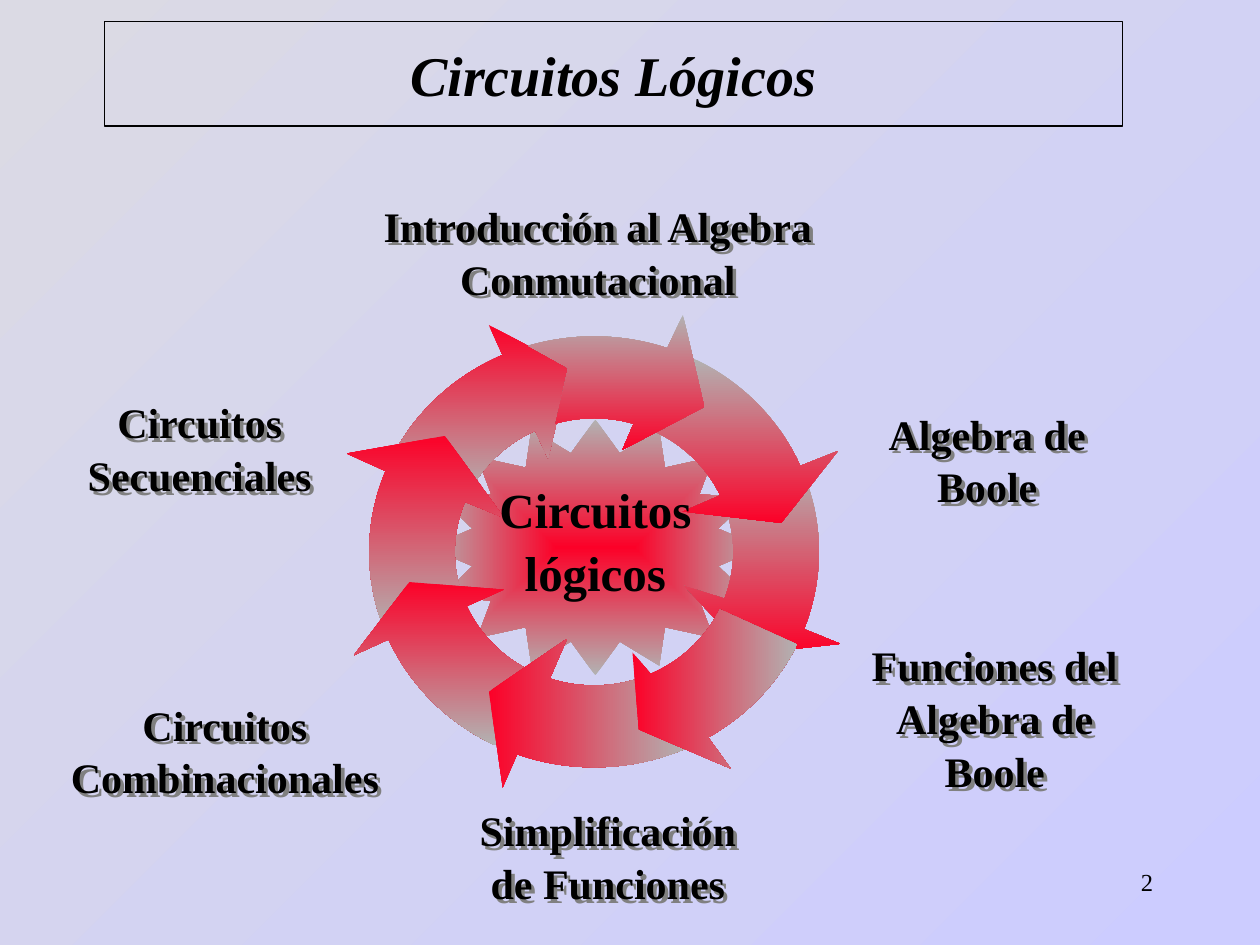
from math import cos, radians, sin

from lxml import etree
from pptx import Presentation
from pptx.dml.color import RGBColor
from pptx.enum.shapes import MSO_SHAPE
from pptx.enum.text import MSO_ANCHOR, PP_ALIGN
from pptx.oxml import parse_xml
from pptx.oxml.ns import nsdecls, qn
from pptx.util import Inches, Pt

STAR = MSO_SHAPE.STAR_16_POINT
MIDDLE = MSO_ANCHOR.MIDDLE
CENTER = PP_ALIGN.CENTER
RIGHT = PP_ALIGN.RIGHT

BLACK = RGBColor(0x00, 0x00, 0x00)
RED = RGBColor(0xFC, 0x01, 0x28)
GRAY = RGBColor(0xB2, 0xB2, 0xB2)
PALE_GRAY = RGBColor(0xDB, 0xDA, 0xE4)
LAVENDER = RGBColor(0xCC, 0xCC, 0xFF)

CENTER_X, CENTER_Y = 4.715, 4.38
OUTER = (1.785, 1.71)
INNER = (1.105, 1.06)
ARC_STEPS = 24
DOWN, ACROSS = 270, 0

deck = Presentation()
deck.slide_width = Inches(10)
deck.slide_height = Inches(7.5)
page = deck.slides.add_slide(deck.slide_layouts[6])


def set_gradient(fill, first, last, angle):
    fill.gradient()
    fill.gradient_angle = angle
    for stop, color in zip(fill.gradient_stops, (first, last)):
        stop.color.rgb = color


def add_text(lines, left, top, width, height, size, align=CENTER, bold=True):
    box = page.shapes.add_textbox(
        Inches(left), Inches(top), Inches(width), Inches(height))
    frame = box.text_frame
    frame.word_wrap = True
    frame.text = lines
    for para in frame.paragraphs:
        para.alignment = align
        for span in para.runs:
            span.font.name = "Times New Roman"
            span.font.size = Pt(size)
            span.font.bold = bold
            span.font.color.rgb = BLACK
    return box


set_gradient(page.background.fill, PALE_GRAY, LAVENDER, 315)

add_text("2", 7.17, 6.83, 2.08, 0.5, 14, RIGHT, False)

title = add_text("Circuitos Lógicos", 0.83, 0.17, 8.08, 0.83, 32)
title.line.color.rgb = BLACK
title.line.width = Pt(0.75)
title.text_frame.vertical_anchor = MIDDLE
title.text_frame.paragraphs[0].runs[0].font.italic = True

star = page.shapes.add_shape(
    STAR, Inches(3.4), Inches(3.33), Inches(2.65), Inches(2.03))
star.adjustments[0] = 0.375
star.shadow.inherit = False
star.line.fill.background()
set_gradient(star.fill, RED, GRAY, DOWN)
linear = star._element.spPr.find(qn("a:gradFill")).find(qn("a:lin"))
linear.getparent().replace(linear, parse_xml(
    f'<a:path {nsdecls("a")} path="shape">'
    '<a:fillToRect l="50000" t="50000" r="50000" b="50000"/></a:path>'))

arrows = [
    ((205, 246), [(3.88, 2.58), (4.52, 2.92), (4.35, 3.64)], (245, 205), [], RED, GRAY, DOWN),
    ((158, 202), [(2.75, 3.6), (3.53, 3.46), (4, 4.11)], (202, 164.5), [], RED, GRAY, DOWN),
    ((116, 156), [(2.81, 5.2), (3.25, 4.62), (4, 4.68)], (156, 117), [], RED, GRAY, DOWN),
    ((66, 110), [(3.99, 6.25), (3.88, 5.49), (4.5, 5.07)], (108.5, 71.5), [], RED, GRAY, ACROSS),
    ((-23, 21), [(6.67, 5.11), (5.94, 5.19), (5.43, 4.65)], (20.5, -17.5), [], GRAY, RED, DOWN),
    ((-64, -23.5), [(6.65, 3.58), (6.2, 4.15), (5.42, 4.06)], (-25, -63.5), [], GRAY, RED, DOWN),
    ((-107, -71), [(5.42, 2.5), (5.59, 3.23), (4.94, 3.57)], (-73.5, -106), [(4.51, 2.92)],
     GRAY, RED, DOWN),
    ((25.5, 59.5), [(5.8, 6.1), (5.07, 5.79), (5.02, 5.18)], (66, 25.5), [], RED, GRAY, ACROSS),
]
for outer_span, head, inner_span, notch, first, last, angle in arrows:
    arcs = []
    for (radius_x, radius_y), (start, end) in ((OUTER, outer_span), (INNER, inner_span)):
        turns = [radians(start + (end - start) * step / ARC_STEPS)
                 for step in range(ARC_STEPS + 1)]
        arcs.append([(CENTER_X + radius_x * cos(turn), CENTER_Y + radius_y * sin(turn))
                     for turn in turns])
    points = [(Inches(x), Inches(y)) for x, y in arcs[0] + head + arcs[1] + notch]
    builder = page.shapes.build_freeform(*points[0])
    builder.add_line_segments(points[1:], close=True)
    arrow = builder.convert_to_shape()
    arrow.shadow.inherit = False
    arrow.line.fill.background()
    set_gradient(arrow.fill, first, last, angle)

hub = add_text("Circuitos\nlógicos", 3.29, 3.92, 2.87, 0.95, 28)
for para in hub.text_frame.paragraphs:
    para.line_spacing = Pt(22)
hub.text_frame.paragraphs[1].space_before = Pt(14)

topics = [
    ("Introducción al Algebra Conmutacional", 2.58, 1.52, 4.33, 0.9),
    ("Algebra de Boole", 6.67, 3.17, 2.33, 0.9),
    ("Circuitos Combinacionales", 0.2, 5.48, 3.17, 0.9),
    ("Circuitos Secuenciales", 0.42, 3.08, 2.33, 0.9),
    ("Funciones del Algebra de Boole", 6.73, 5.01, 2.33, 1.3),
    ("Simplificación de Funciones", 3.66, 6.32, 2.33, 0.9),
]
for topic in topics:
    label = add_text(*topic, 24)
    label.text_frame.paragraphs[0].line_spacing = 1.05
    effects = etree.SubElement(label._element.spPr, qn("a:effectLst"))
    shadow = etree.SubElement(effects, qn("a:outerShdw"), dist=str(Inches(0.04)),
                              dir="2700000", algn="ctr", rotWithShape="0")
    etree.SubElement(shadow, qn("a:srgbClr"), val="808080")

deck.save("out.pptx")
